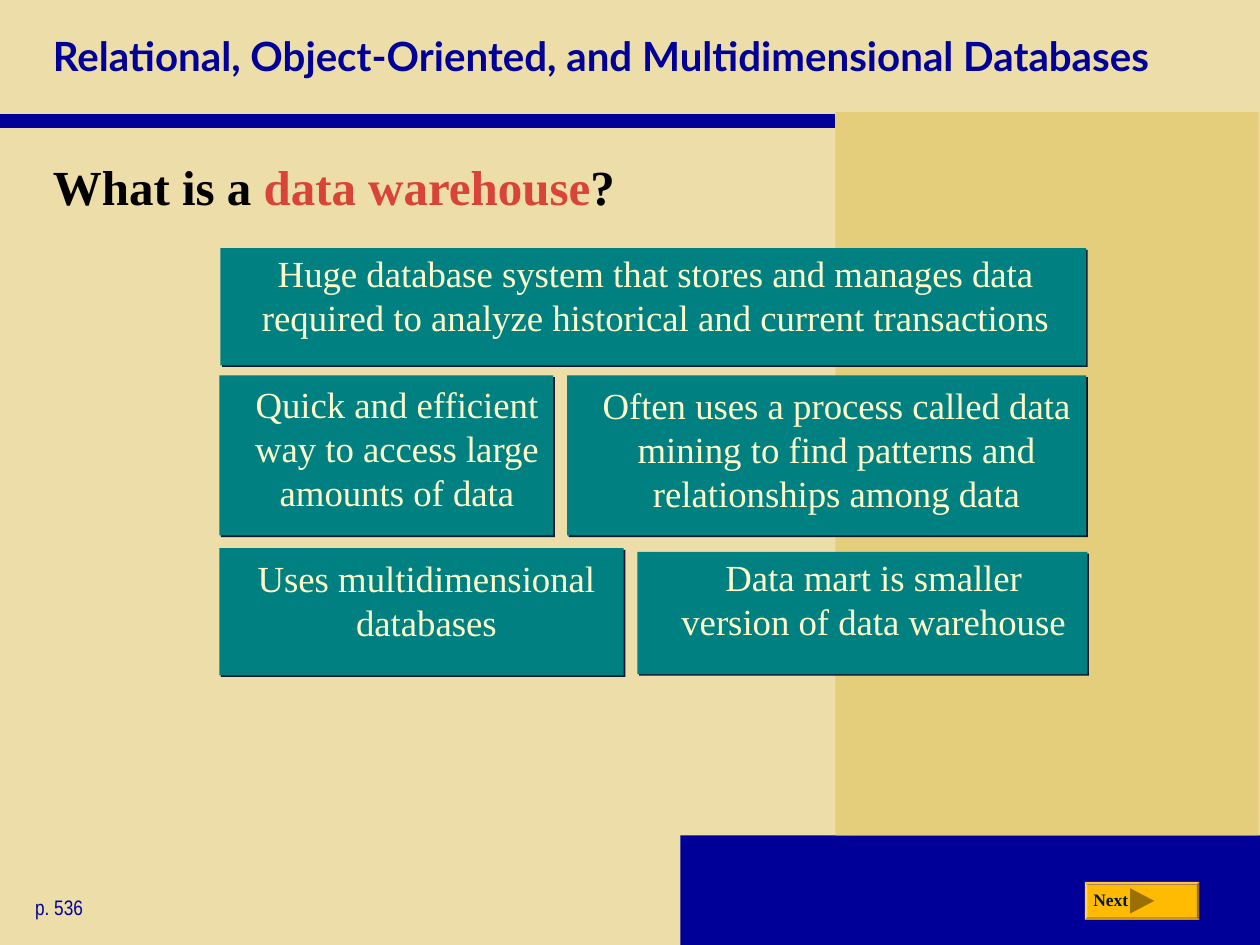
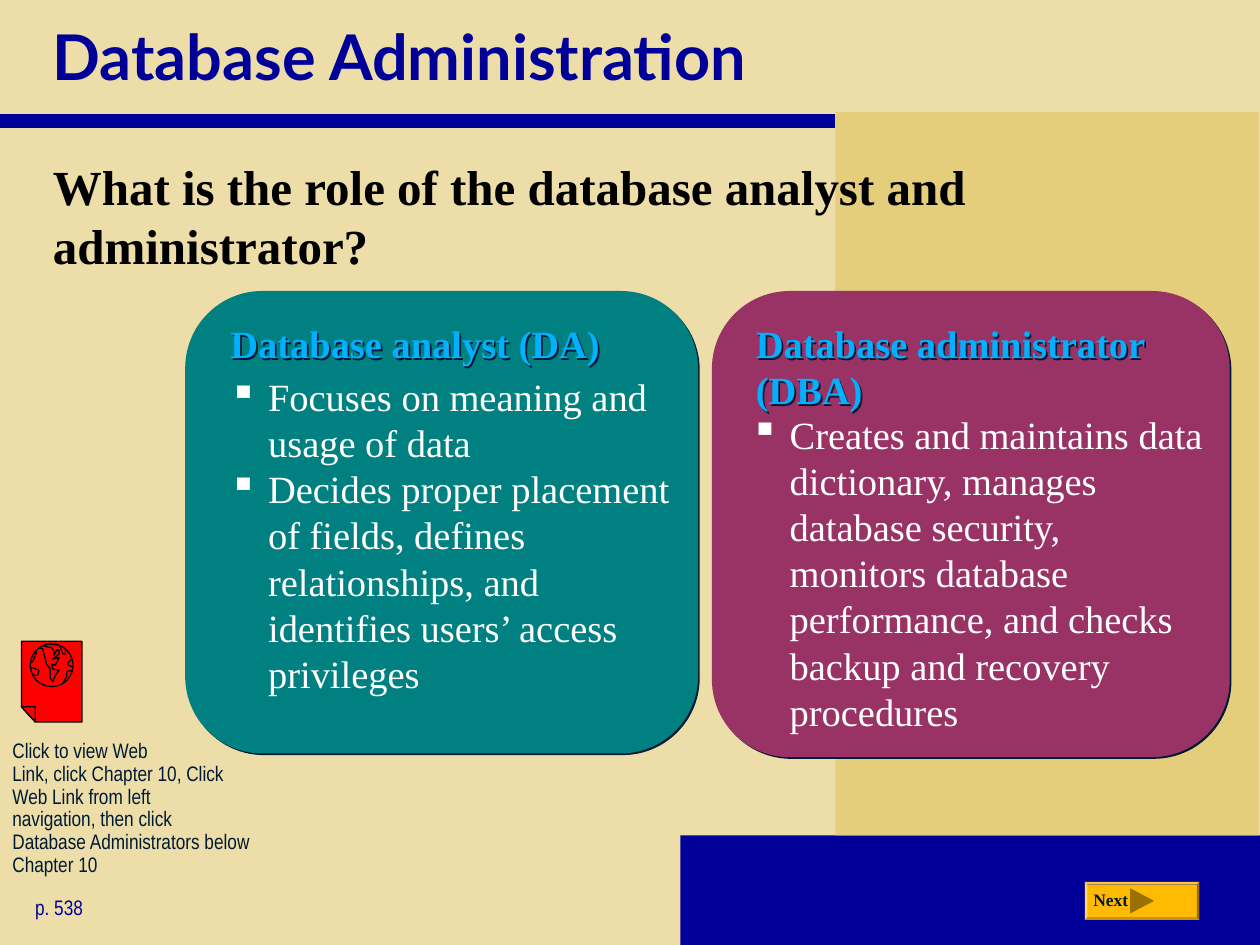
from dataclasses import dataclass

from lxml.etree import SubElement
from pptx import Presentation
from pptx.dml.color import RGBColor
from pptx.enum.shapes import MSO_CONNECTOR, MSO_SHAPE as SHAPE
from pptx.enum.text import MSO_ANCHOR as ANCHOR, MSO_AUTO_SIZE as AUTO_SIZE, PP_ALIGN as ALIGN
from pptx.oxml.ns import qn
from pptx.util import Inches, Pt


@dataclass(frozen=True)
class Theme:
    """Colours, fonts and type sizes of the deck."""

    sand: str = "EDDEA9"
    gold: str = "E4CE7C"
    navy: str = "000099"
    teal: str = "008080"
    plum: str = "993366"
    black: str = "000000"
    white: str = "FFFFFF"
    cream: str = "FFFFCC"
    sky: str = "01B0FF"
    coral: str = "D94439"
    ink: str = "001932"
    red: str = "FF0000"
    amber: str = "FFBA02"
    bronze: str = "997001"
    title_font: str = "Lato"
    text_font: str = "Times New Roman"
    note_font: str = "Arial Narrow"
    title_size: float = 36
    long_title_size: float = 23
    question_size: float = 28
    card_size: float = 22
    fact_size: float = 21
    note_size: float = 12
    button_size: float = 10


THEME = Theme()

FACTS = [
    (1.75, 1.97, 6.87, 0.93, 0.23, 0.02,
     "Huge database system that stores and manages data required to analyze "
     "historical and current transactions"),
    (1.74, 2.98, 2.65, 1.27, 0.10, 0.05, "Quick and efficient way to access large amounts of data"),
    (4.50, 2.98, 4.12, 1.27, 0.11, 0.06,
     "Often uses a process called data mining to find patterns and relationships among data"),
    (1.74, 4.35, 3.21, 1.01, 0.19, 0.06, "Uses multidimensional databases"),
    (5.06, 4.38, 3.57, 0.97, 0.09, 0.02, "Data mart is smaller version of data warehouse"),
]

ANALYST_TASKS = [
    "Focuses on meaning and usage of data",
    "Decides proper placement of fields, defines relationships, and "
    "identifies users’ access privileges",
]
ADMINISTRATOR_TASKS = [
    "Creates and maintains data dictionary, manages \ndatabase security, \n"
    "monitors database performance, and checks backup and recovery procedures",
]
WEB_LINK_NOTE = (
    "Click to view Web \nLink, click Chapter 10, Click \nWeb Link from left \n"
    "navigation, then click \nDatabase Administrators below Chapter 10"
)

GLOBE_COASTS = [
    [(0.35, 5.12), (0.36, 5.13), (0.41, 5.14), (0.43, 5.17), (0.43, 5.20), (0.45, 5.16),
     (0.47, 5.16), (0.47, 5.19), (0.42, 5.23), (0.47, 5.22), (0.44, 5.28), (0.41, 5.27),
     (0.42, 5.31), (0.47, 5.32), (0.44, 5.36), (0.42, 5.41), (0.40, 5.38), (0.40, 5.31),
     (0.37, 5.27), (0.35, 5.19), (0.34, 5.15), (0.31, 5.14)],
    [(0.24, 5.30), (0.26, 5.30), (0.31, 5.32), (0.30, 5.36), (0.27, 5.36), (0.26, 5.35)],
    [(0.24, 5.26), (0.26, 5.25), (0.29, 5.18), (0.28, 5.17)],
    [(0.50, 5.42), (0.53, 5.37), (0.53, 5.33), (0.57, 5.32)],
    [(0.57, 5.29), (0.54, 5.28), (0.54, 5.26), (0.57, 5.23)],
    [(0.37, 5.11), (0.47, 5.12), (0.50, 5.19), (0.52, 5.19), (0.52, 5.15)],
]


def rgb(colour):
    """Turn a hex string into a colour."""
    return RGBColor.from_string(colour)


def inches(*lengths):
    """Turn several numbers into lengths."""
    return [Inches(length) for length in lengths]


def paint(shape, fill=None, line=None):
    """Set fill and outline, and take the shadow away."""
    shape.shadow.inherit = False
    if fill:
        shape.fill.solid()
        shape.fill.fore_color.rgb = rgb(fill)
    else:
        shape.fill.background()
    if line:
        shape.line.color.rgb = rgb(line)
        shape.line.width = Pt(0.75)
    else:
        shape.line.fill.background()


def add_block(slide, kind, box, fill=None, line=None):
    """Add a plain preset shape."""
    block = slide.shapes.add_shape(kind, *inches(*box))
    paint(block, fill, line)
    return block


def add_outline(slide, points, fill=None, line=None, close=True):
    """Draw a polygon or an open line through points."""
    start, *rest = [inches(*point) for point in points]
    builder = slide.shapes.build_freeform(*start)
    builder.add_line_segments(rest, close=close)
    outline = builder.convert_to_shape()
    paint(outline, fill, line)
    return outline


def cast_shadow(shape):
    """Give a shape a thin hard shadow to the lower right."""
    effects = shape.element.spPr.find(qn("a:effectLst"))
    shadow = SubElement(effects, qn("a:outerShdw"), dist=str(Pt(1.4)), dir="2700000",
                        algn="ctr", rotWithShape="0")
    SubElement(shadow, qn("a:srgbClr"), val=THEME.ink)


def style(paragraph, size, colour, font=THEME.text_font, bold=False, align=ALIGN.LEFT):
    """Format a whole paragraph."""
    paragraph.alignment = align
    paragraph.space_before = Pt(0)
    paragraph.font.name = font
    paragraph.font.size = Pt(size)
    paragraph.font.bold = bold
    paragraph.font.color.rgb = rgb(colour)


def prepare_frame(frame, margins):
    """Make a frame wrap at the top with the given left, top, right, bottom margins."""
    frame.word_wrap = True
    frame.auto_size = AUTO_SIZE.NONE
    frame.vertical_anchor = ANCHOR.TOP
    (frame.margin_left, frame.margin_top,
     frame.margin_right, frame.margin_bottom) = inches(*margins)
    return frame


def add_note(slide, box, text, size, colour, font, bold=False):
    """Add a small text box and return its paragraph."""
    note = slide.shapes.add_textbox(*inches(*box))
    paragraph = prepare_frame(note.text_frame, (0.1, 0.05, 0.1, 0.05)).paragraphs[0]
    paragraph.text = text
    style(paragraph, size, colour, font, bold)
    return paragraph


def place(placeholder, box):
    """Move a placeholder and return its first paragraph."""
    placeholder.left, placeholder.top, placeholder.width, placeholder.height = inches(*box)
    placeholder.text_frame.auto_size = AUTO_SIZE.NONE
    return placeholder.text_frame.paragraphs[0]


def set_bullet(paragraph, mark=None, hang=0):
    """Give a paragraph a hanging bullet, or none."""
    props = paragraph._p.get_or_add_pPr()
    props.set("marL", str(Inches(hang)))
    props.set("indent", str(-Inches(hang)))
    if mark:
        SubElement(SubElement(props, qn("a:buClr")), qn("a:srgbClr"), val=THEME.white)
        SubElement(props, qn("a:buChar"), char=mark)
    else:
        SubElement(props, qn("a:buNone"))


def add_layout_bands(slide):
    """Draw the bands shared by all slides and move them to the layout."""
    rule = slide.shapes.add_connector(MSO_CONNECTOR.STRAIGHT, *inches(0, 0.96, 6.63, 0.96))
    rule.line.color.rgb = rgb(THEME.navy)
    rule.line.width = Pt(8)
    SubElement(rule.element.spPr, qn("a:effectLst"))
    bands = [
        add_block(slide, SHAPE.RECTANGLE, (5.4, 6.63, 4.6, 0.87), THEME.navy),
        add_block(slide, SHAPE.RECTANGLE, (6.63, 0.89, 3.36, 5.74), THEME.gold),
        rule,
    ]
    for order, band in enumerate(bands):
        band.element.xpath(".//p:cNvPr")[0].set("id", str(100 + order))
        slide.slide_layout.shapes.element.insert(2 + order, band.element)


def add_next_button(slide):
    """Add the bevelled Next button."""
    button = add_block(slide, SHAPE.BEVEL, (8.61, 7, 0.91, 0.3), THEME.amber)
    button.adjustments[0] = 0.07
    add_outline(slide, [(8.97, 7.05), (9.16, 7.15), (8.97, 7.25)], THEME.bronze)
    add_note(slide, (8.58, 7.01, 0.6, 0.27), "Next", THEME.button_size, THEME.ink,
             THEME.text_font, bold=True)


def fill_slide(slide, title, title_size, question, question_height, page):
    """Write the title, the question, the page reference and the button."""
    heading = place(slide.shapes.title, (0.32, 0, 9.39, 0.88))
    heading.text = title
    style(heading, title_size, THEME.navy, THEME.title_font, bold=True)
    asked = place(slide.placeholders[1], (0.32, 1.19, 9.39, question_height))
    set_bullet(asked)
    for words, colour in question:
        part = asked.add_run()
        part.text = words
        if colour:
            part.font.color.rgb = rgb(colour)
    style(asked, THEME.question_size, THEME.black, bold=True)
    add_note(slide, (0.18, 7.05, 1.69, 0.3), page, THEME.note_size, THEME.navy, THEME.note_font)
    add_next_button(slide)


def add_fact(slide, left, top, width, height, right_margin, top_margin, text):
    """Add a teal box with one centred statement."""
    fact = add_block(slide, SHAPE.RECTANGLE, (left, top, width, height), THEME.teal)
    cast_shadow(fact)
    frame = prepare_frame(fact.text_frame, (0.27, top_margin, right_margin, 0))
    statement = frame.paragraphs[0]
    statement.text = text
    style(statement, THEME.fact_size, THEME.cream, align=ALIGN.CENTER)


def add_role_card(slide, box, fill, role, role_box, tasks, tasks_box):
    """Add a rounded card with a role and its bulleted tasks."""
    cast_shadow(add_block(slide, SHAPE.ROUNDED_RECTANGLE, box, fill))
    label = add_block(slide, SHAPE.ROUNDED_RECTANGLE, role_box)
    cast_shadow(label)
    name = prepare_frame(label.text_frame, (0, 0, 0, 0)).paragraphs[0]
    name.text = role
    style(name, THEME.card_size, THEME.sky, bold=True)
    duties = slide.shapes.add_textbox(*inches(*tasks_box))
    frame = prepare_frame(duties.text_frame, (0.1, 0.1, 0.1, 0.05))
    for index, task in enumerate(tasks):
        duty = frame.add_paragraph() if index else frame.paragraphs[0]
        duty.text = task
        set_bullet(duty, "▪", 0.31)
        style(duty, THEME.card_size, THEME.white)


def add_web_link(slide):
    """Add the web page icon with its directions."""
    directions = add_note(slide, (0, 5.83, 2.17, 1.15), WEB_LINK_NOTE, THEME.note_size,
                          THEME.ink, THEME.note_font)
    directions.line_spacing = 0.9
    page = [(0.17, 5.09), (0.65, 5.09), (0.65, 5.73), (0.28, 5.73), (0.17, 5.61)]
    add_outline(slide, page, THEME.red, THEME.black)
    add_outline(slide, [(0.17, 5.61), (0.28, 5.61), (0.28, 5.73)], THEME.red, THEME.black)
    add_block(slide, SHAPE.OVAL, (0.24, 5.11, 0.34, 0.34), line=THEME.black)
    for coast in GLOBE_COASTS:
        add_outline(slide, coast, line=THEME.black, close=False)


def main():
    """Build and save the deck."""
    deck = Presentation()
    deck.slide_width, deck.slide_height = inches(10, 7.5)
    backdrop = deck.slide_master.background.fill
    backdrop.solid()
    backdrop.fore_color.rgb = rgb(THEME.sand)
    warehouse, roles = [deck.slides.add_slide(deck.slide_layouts[1]) for _ in range(2)]
    add_layout_bands(warehouse)

    fill_slide(warehouse, "Relational, Object-Oriented, and Multidimensional Databases",
               THEME.long_title_size,
               [("What is a ", None), ("data warehouse", THEME.coral), ("?", None)],
               0.62, "p. 536")
    for fact in FACTS:
        add_fact(warehouse, *fact)

    fill_slide(roles, "Database Administration", THEME.title_size,
               [("What is the role of the database analyst and administrator?", None)],
               1.26, "p. 538")
    add_role_card(roles, (1.47, 2.31, 4.07, 3.67), THEME.teal,
                  "Database analyst (DA)", (1.81, 2.52, 3.46, 0.41),
                  ANALYST_TASKS, (1.72, 2.86, 3.73, 2.72))
    add_role_card(roles, (5.65, 2.31, 4.11, 3.7), THEME.plum,
                  "Database administrator (DBA)", (5.96, 2.5, 3.74, 0.81),
                  ADMINISTRATOR_TASKS, (5.86, 3.16, 4.16, 2.72))
    add_web_link(roles)
    deck.save("out.pptx")


if __name__ == "__main__":
    main()
